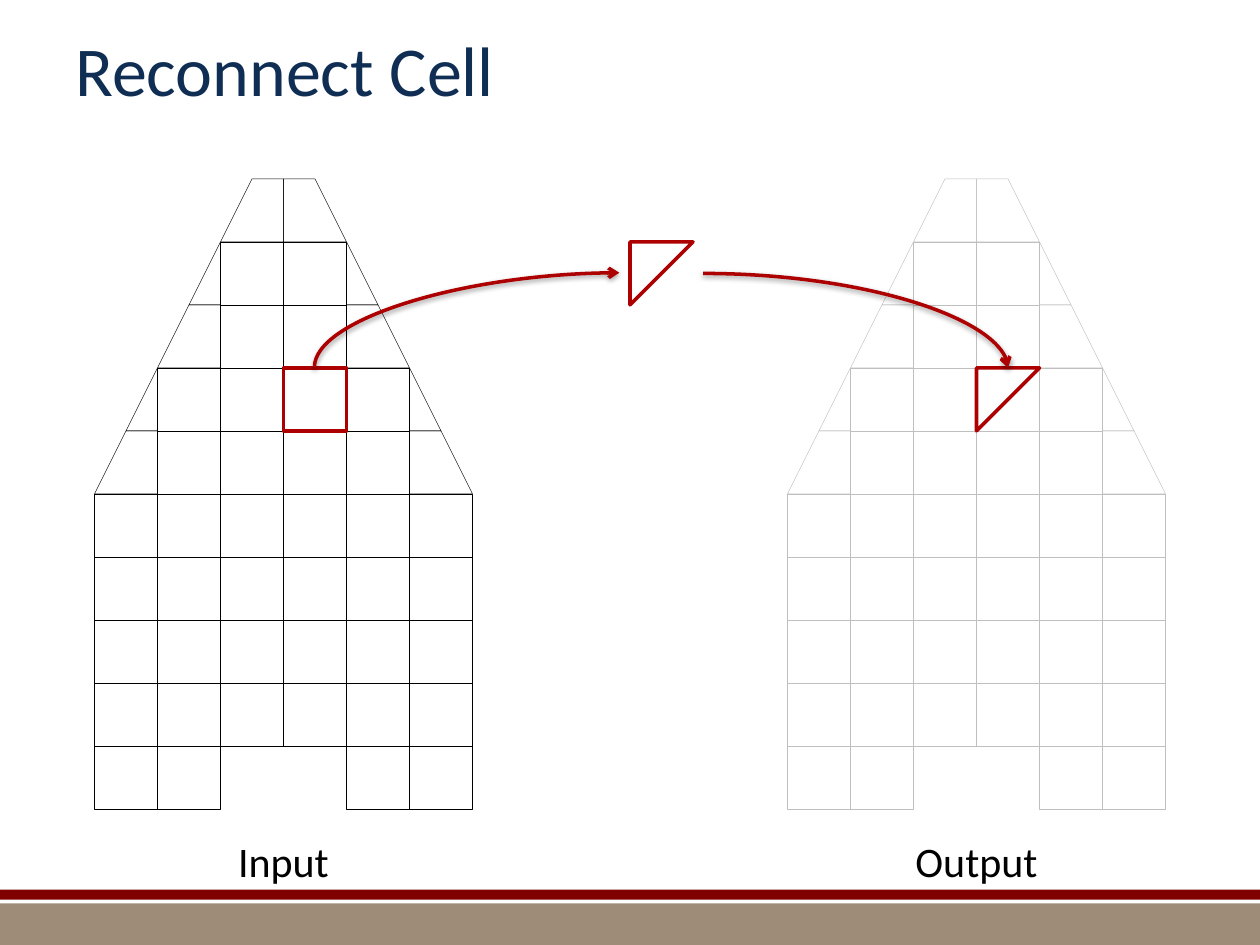
import pptx
import pptx.util
import pptx.dml.color
import pptx.enum.shapes
import pptx.enum.text
import pptx.oxml
import pptx.oxml.ns
from lxml import etree

Inches = pptx.util.Inches
Kind = pptx.enum.shapes.MSO_SHAPE
Align = pptx.enum.text.PP_ALIGN
Anchor = pptx.enum.text.MSO_ANCHOR
qn = pptx.oxml.ns.qn

RED, BLACK, GREY, WHITE = "AD0101", "000000", "BFBFBF", "FFFFFF"
CELL = 0.5
TOP = 1.42


def color(text):
    return pptx.dml.color.RGBColor.from_string(text)


class Sketch:
    font = "Calibri"

    def __init__(self, slide):
        self.slide = slide

    def paint(self, shape, fill, line, width):
        shape.shadow.inherit = False
        if fill:
            shape.fill.solid()
            shape.fill.fore_color.rgb = color(fill)
        else:
            shape.fill.background()
        if line:
            shape.line.color.rgb = color(line)
            shape.line.width = pptx.util.Pt(width)
        else:
            shape.line.fill.background()

    def box(self, x, y, w, h, fill=None, line=None, width=2,
            kind=Kind.RECTANGLE, turn=0, group=None):
        shapes = (group or self.slide).shapes
        shape = shapes.add_shape(kind, Inches(x), Inches(y), Inches(w), Inches(h))
        shape.rotation = turn
        self.paint(shape, fill, line, width)

    def poly(self, group, points, line, width):
        points = [(Inches(x), Inches(y)) for x, y in points]
        pen = group.shapes.build_freeform(*points[0])
        pen.add_line_segments(points[1:], close=True)
        self.paint(pen.convert_to_shape(), None, line, width)

    def text(self, x, y, w, h, words, size, ink, align, anchor, wrap):
        box = self.slide.shapes.add_textbox(Inches(x), Inches(y), Inches(w), Inches(h))
        frame = box.text_frame
        frame.text = words
        frame.word_wrap = wrap
        frame.vertical_anchor = anchor
        para = frame.paragraphs[0]
        para.alignment = align
        font = para.runs[0].font
        font.name, font.size = self.font, pptx.util.Pt(size)
        font.color.rgb = color(ink)

    def curve(self, x1, y1, x2, y2, turn=0):
        link = self.slide.shapes.add_connector(
            pptx.enum.shapes.MSO_CONNECTOR.CURVE,
            Inches(x1), Inches(y1), Inches(x2), Inches(y2))
        link.line.color.rgb = color(RED)
        link.line.width = pptx.util.Pt(2)
        # Quarter bend, arrowhead and soft shadow
        props = link.element.spPr
        props.find(qn("a:xfrm")).set("rot", str(turn * 60000))
        props.find(qn("a:prstGeom")).set("prst", "curvedConnector2")
        etree.SubElement(props.find(qn("a:ln")), qn("a:tailEnd"), type="arrow")
        effects = etree.SubElement(props, qn("a:effectLst"))
        shade = etree.SubElement(effects, qn("a:outerShdw"), blurRad="40000",
                                 dist="20000", dir="5400000", rotWithShape="0")
        tone = etree.SubElement(shade, qn("a:srgbClr"), val=BLACK)
        etree.SubElement(tone, qn("a:alpha"), val="38000")

    def mesh(self, mid, ink):
        group = self.slide.shapes.add_group_shape()
        for side in (1, -1):
            for col, count in enumerate((8, 7, 5)):
                # Whole cells of the column
                near = col * CELL
                left = mid + min(side * near, side * (near + CELL))
                first = TOP + CELL + col
                for row in range(count):
                    self.box(left, first + row * CELL, CELL, CELL,
                             line=ink, width=0.25, group=group)
                # Cut cells on the slanted edge
                top = TOP + col
                cuts = [[(near, top), (near, top + CELL), (near + CELL, top + CELL),
                         (near + CELL / 2, top)]]
                if col:
                    cuts.append([(near, top - CELL), (near, top),
                                 (near + CELL / 2, top)])
                for cut in cuts:
                    self.poly(group, [(mid + side * x, y) for x, y in cut], ink, 0.25)


def main():
    deck = pptx.Presentation()
    deck.slide_width, deck.slide_height = Inches(10), Inches(7.5)
    art = Sketch(deck.slides.add_slide(deck.slide_layouts[6]))

    # Footer bands and title
    art.box(0, 7.17, 10, 0.33, fill="9E8C78")
    art.box(0, 7.06, 10, 0.08, fill="800000")
    art.text(0.5, 0, 9, 1.08, "Reconnect Cell", 40, "102E54",
             Align.LEFT, Anchor.MIDDLE, True)

    # Meshes and their labels
    sides = ((2.25, BLACK, "Input", 0.93), (7.75, GREY, "Output", 1.18))
    for mid, ink, name, wide in sides:
        art.mesh(mid, ink)
        art.text(mid - wide / 2, 6.58, wide, 0.5, name, 24, BLACK,
                 Align.CENTER, Anchor.TOP, False)

    # Chosen cell, its cut form and the reconnected cell
    art.box(2.25, 2.92, CELL, CELL, WHITE, RED)
    for x, y in ((7.75, 2.92), (5, 1.92)):
        art.box(x, y, CELL, CELL, WHITE, RED, kind=Kind.RIGHT_TRIANGLE, turn=90)

    # Arrows
    art.curve(4.08, 3.75, 3.33, 1.33, turn=90)
    art.curve(5.58, 2.17, 8, 2.92)

    deck.save("out.pptx")


if __name__ == "__main__":
    main()
